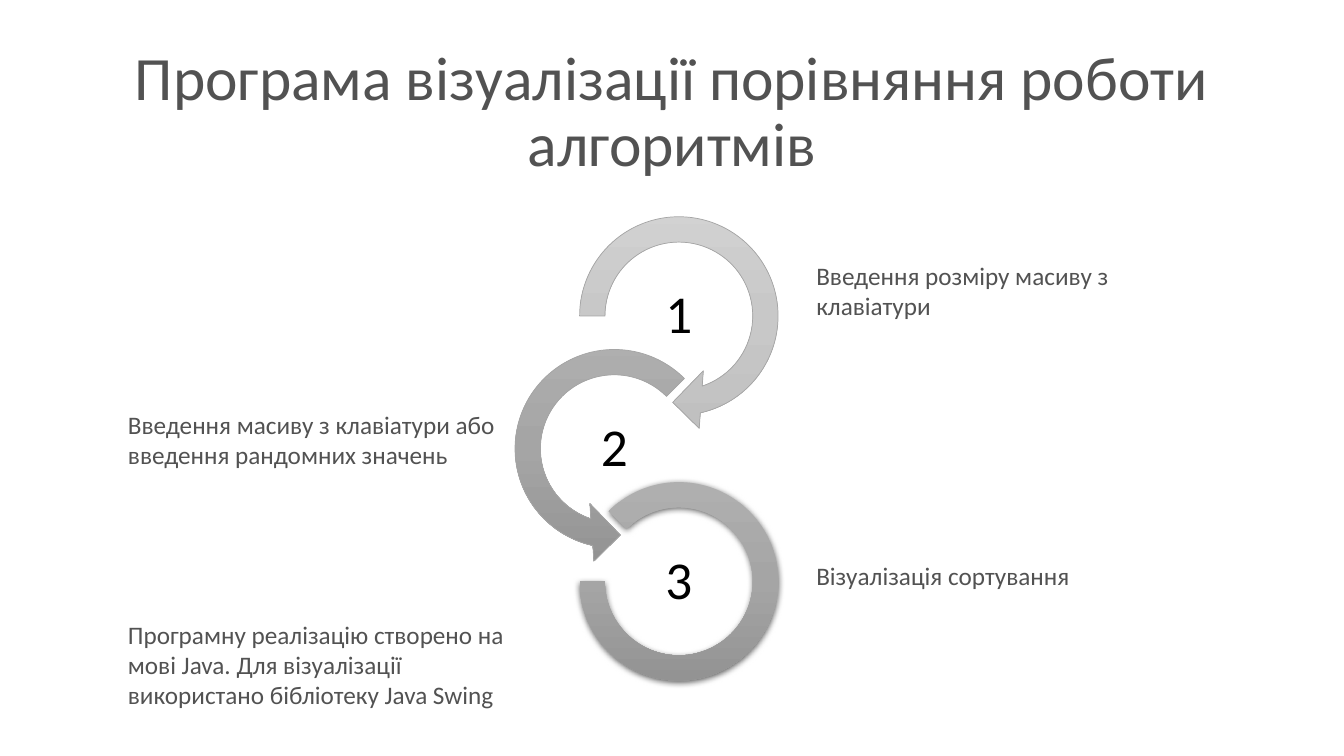
from copy import deepcopy

from lxml.etree import SubElement
from pptx import Presentation
from pptx.dml.color import RGBColor
from pptx.enum.shapes import MSO_SHAPE
from pptx.enum.text import MSO_ANCHOR, PP_ALIGN
from pptx.oxml.ns import qn
from pptx.util import Pt

TEXT_GRAY = RGBColor(0x52, 0x52, 0x52)
BLACK = RGBColor(0, 0, 0)
OUTLINE = RGBColor(0xA5, 0xA5, 0xA5)
LIGHT = [RGBColor(0xD2, 0xD2, 0xD2), RGBColor(0xC8, 0xC8, 0xC8), RGBColor(0xC0, 0xC0, 0xC0)]
DARK = [RGBColor(0xAF, 0xAF, 0xAF), RGBColor(0xA5, 0xA5, 0xA5), RGBColor(0x93, 0x93, 0x93)]

presentation = Presentation()
presentation.slide_width = Pt(960)
presentation.slide_height = Pt(540)
slide = presentation.slides.add_slide(presentation.slide_layouts[6])


def add_text(text, left, top, width, height, size=18, color=TEXT_GRAY, align=PP_ALIGN.LEFT,
             anchor=MSO_ANCHOR.TOP, line_spacing=1.0, inset=None):
    box = slide.shapes.add_textbox(Pt(left), Pt(top), Pt(width), Pt(height))
    frame = box.text_frame
    frame.word_wrap = True
    frame.vertical_anchor = anchor
    if inset is not None:
        frame.margin_left = frame.margin_right = Pt(inset)
        frame.margin_top = frame.margin_bottom = Pt(inset)
    paragraph = frame.paragraphs[0]
    paragraph.alignment = align
    paragraph.line_spacing = line_spacing
    run = paragraph.add_run()
    run.text = text
    run.font.name = "Calibri"
    run.font.size = Pt(size)
    run.font.color.rgb = color


def fill_gradient(shape, colors):
    """Fill from top to bottom with three evenly spaced colours."""
    shape.fill.gradient()
    stop_list = shape._element.spPr.find(".//" + qn("a:gsLst"))
    stop_list.append(deepcopy(stop_list[-1]))
    for index, (stop, color) in enumerate(zip(shape.fill.gradient_stops, colors)):
        stop.position = index / 2
        stop.color.rgb = color
    shape.fill.gradient_angle = 270


add_text("Програма візуалізації порівняння роботи алгоритмів", 66, 28.75, 828, 104.4,
         size=44, align=PP_ALIGN.CENTER, anchor=MSO_ANCHOR.MIDDLE, line_spacing=0.9)

# Chain of numbered steps: kind, centre x, size, adjustments, colours, outlined
FIRST_CENTER, PITCH = 225.7, 94.8
NUMBER_WIDTH, NUMBER_HEIGHT = 91.6, 45.8
steps = [
    (MSO_SHAPE.CIRCULAR_ARROW, 484.9, 164.9, (0.1098, 11.42322, 45, 108, 0.125), LIGHT, True),
    (MSO_SHAPE.LEFT_CIRCULAR_ARROW, 438.8, 164.9, (0.1098, 11.42322, 63, 189, 0.125), DARK, True),
    (MSO_SHAPE.BLOCK_ARC, 484.9, 141.8, (135, 108, 0.1274), DARK, False),
]
for index, (kind, center_x, size, adjustments, colors, outlined) in enumerate(steps):
    center_y = FIRST_CENTER + index * PITCH
    ring = slide.shapes.add_shape(kind, Pt(center_x - size / 2), Pt(center_y - size / 2),
                                  Pt(size), Pt(size))
    for position, value in enumerate(adjustments):
        ring.adjustments[position] = value
    fill_gradient(ring, colors)
    ring.shadow.inherit = False
    if outlined:
        ring.line.color.rgb = OUTLINE
        ring.line.width = Pt(0.5)
    else:
        ring.line.fill.background()
        effects = ring._element.spPr.find(qn("a:effectLst"))
        shadow = SubElement(effects, qn("a:outerShdw"), blurRad=str(Pt(4.5)), dist=str(Pt(1.5)),
                            dir="5400000", algn="ctr", rotWithShape="0")
        shadow_color = SubElement(shadow, qn("a:srgbClr"), val=str(BLACK))
        SubElement(shadow_color, qn("a:alpha"), val="63000")
    add_text(str(index + 1), center_x - NUMBER_WIDTH / 2, center_y - NUMBER_HEIGHT / 2 + 0.6,
             NUMBER_WIDTH, NUMBER_HEIGHT, size=38, color=BLACK, align=PP_ALIGN.CENTER,
             anchor=MSO_ANCHOR.MIDDLE, line_spacing=0.9, inset=2)

LEFT_COLUMN, RIGHT_COLUMN = 84.3, 576
captions = [
    ("Введення розміру масиву з клавіатури", RIGHT_COLUMN, 182.2, 262, 50.9),
    ("Введення масиву з клавіатури або введення рандомних значень", LEFT_COLUMN, 288.9, 282.2, 50.9),
    ("Візуалізація сортування", RIGHT_COLUMN, 396.9, 201.6, 29.1),
    ("Програмну реалізацію створено на мові Java. Для візуалізації використано бібліотеку Java Swing",
     LEFT_COLUMN, 438.8, 293, 72.7),
]
for caption in captions:
    add_text(*caption)

presentation.save("out.pptx")
